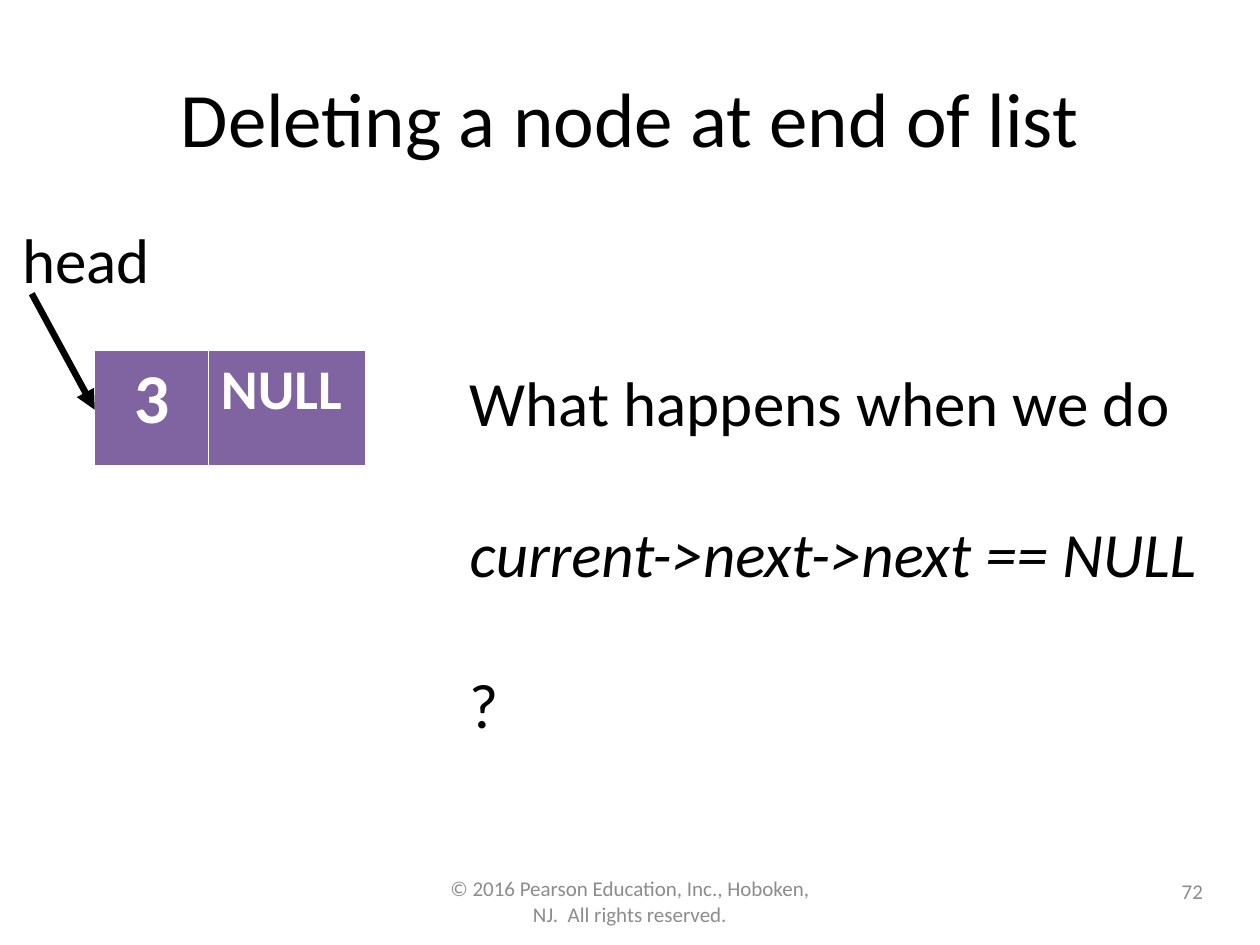
from lxml import etree
from pptx import Presentation
from pptx.dml.color import RGBColor
from pptx.enum.shapes import MSO_CONNECTOR
from pptx.enum.text import MSO_ANCHOR, PP_ALIGN
from pptx.oxml.ns import qn
from pptx.util import Cm, Pt

LEFT, CENTER, RIGHT = PP_ALIGN.LEFT, PP_ALIGN.CENTER, PP_ALIGN.RIGHT
TOP, MIDDLE = MSO_ANCHOR.TOP, MSO_ANCHOR.MIDDLE
STRAIGHT = MSO_CONNECTOR.STRAIGHT


def color(hex_text):
    return RGBColor.from_string(hex_text)


class SlideBuilder:
    font = "Calibri"
    black, white, gray, purple = "000000", "FFFFFF", "8C8C8C", "8064A2"

    def __init__(self, prs):
        self.s = prs.slides.add_slide(prs.slide_layouts[6])

    def format(self, p, size, hex_text, align=LEFT, bold=False, italic=False):
        p.alignment = align
        for r in p.runs:
            r.font.name = self.font
            r.font.size = Pt(size)
            r.font.bold = bold
            r.font.italic = italic
            r.font.color.rgb = color(hex_text)

    def text(self, box, lines, size, hex_text=black, align=LEFT, anchor=TOP,
             wrap=True, gap=0, italic_lines=()):
        tf = self.s.shapes.add_textbox(*map(Cm, box)).text_frame
        tf.word_wrap = wrap
        tf.vertical_anchor = anchor
        tf.text = "\n".join(lines)
        for i, p in enumerate(tf.paragraphs):
            self.format(p, size, hex_text, align, italic=i in italic_lines)
            if i:
                p.space_before = Pt(gap)

    def node(self, left, top, height, cells):
        width = sum(cell[0] for cell in cells)
        table = self.s.shapes.add_table(
            1, len(cells), Cm(left), Cm(top), Cm(width), Cm(height)).table
        for i, (col_width, label, size, align) in enumerate(cells):
            table.columns[i].width = Cm(col_width)
            cell = table.cell(0, i)
            cell.text_frame.text = label
            self.format(cell.text_frame.paragraphs[0], size, self.white, align, bold=True)
            self.borders(cell)
            cell.fill.solid()
            cell.fill.fore_color.rgb = color(self.purple)

    def borders(self, cell):
        tc_pr = cell._tc.get_or_add_tcPr()
        for side, width in (("L", 1), ("R", 1), ("T", 1), ("B", 3)):
            ln = etree.SubElement(tc_pr, qn(f"a:ln{side}"), w=str(Pt(width)))
            fill = etree.SubElement(ln, qn("a:solidFill"))
            etree.SubElement(fill, qn("a:srgbClr"), val=self.white)

    def arrow(self, x1, y1, x2, y2, width):
        sp = self.s.shapes.add_connector(STRAIGHT, Cm(x1), Cm(y1), Cm(x2), Cm(y2))
        sp.line.width = Pt(width)
        sp.line.color.rgb = color(self.black)
        etree.SubElement(sp.line._get_or_add_ln(), qn("a:tailEnd"), type="triangle")
        etree.SubElement(sp._element.spPr, qn("a:effectLst"))


def main():
    prs = Presentation()
    prs.slide_width, prs.slide_height = Cm(25.4), Cm(19.05)
    b = SlideBuilder(prs)

    # Title and footer
    b.text((1.27, 0.76, 22.86, 3.18), ["Deleting a node at end of list"], 44,
           align=CENTER, anchor=MIDDLE)
    b.text((8.68, 17.66, 8.04, 1.01),
           ["© 2016 Pearson Education, Inc., Hoboken, NJ.  All rights reserved."],
           12, b.gray, CENTER, MIDDLE)
    b.text((18.57, 17.46, 5.93, 1.01), ["72"], 12, b.gray, RIGHT, MIDDLE)

    # Single-node list with its head pointer
    b.node(1.91, 7.06, 2.36, [(2.29, "3", 40, CENTER), (3.18, "NULL", 32, LEFT)])
    b.text((0.2, 4.32, 3.1, 1.8), ["head"], 36, wrap=False)
    b.arrow(0.64, 5.92, 1.91, 8.26, 3.75)

    # Question, spaced one line apart
    b.text((9.22, 7.2, 15.57, 7.95),
           ["What happens when we do", "current->next->next == NULL", "?"],
           36, gap=43.2, italic_lines=(1,))

    prs.save("out.pptx")


if __name__ == "__main__":
    main()
